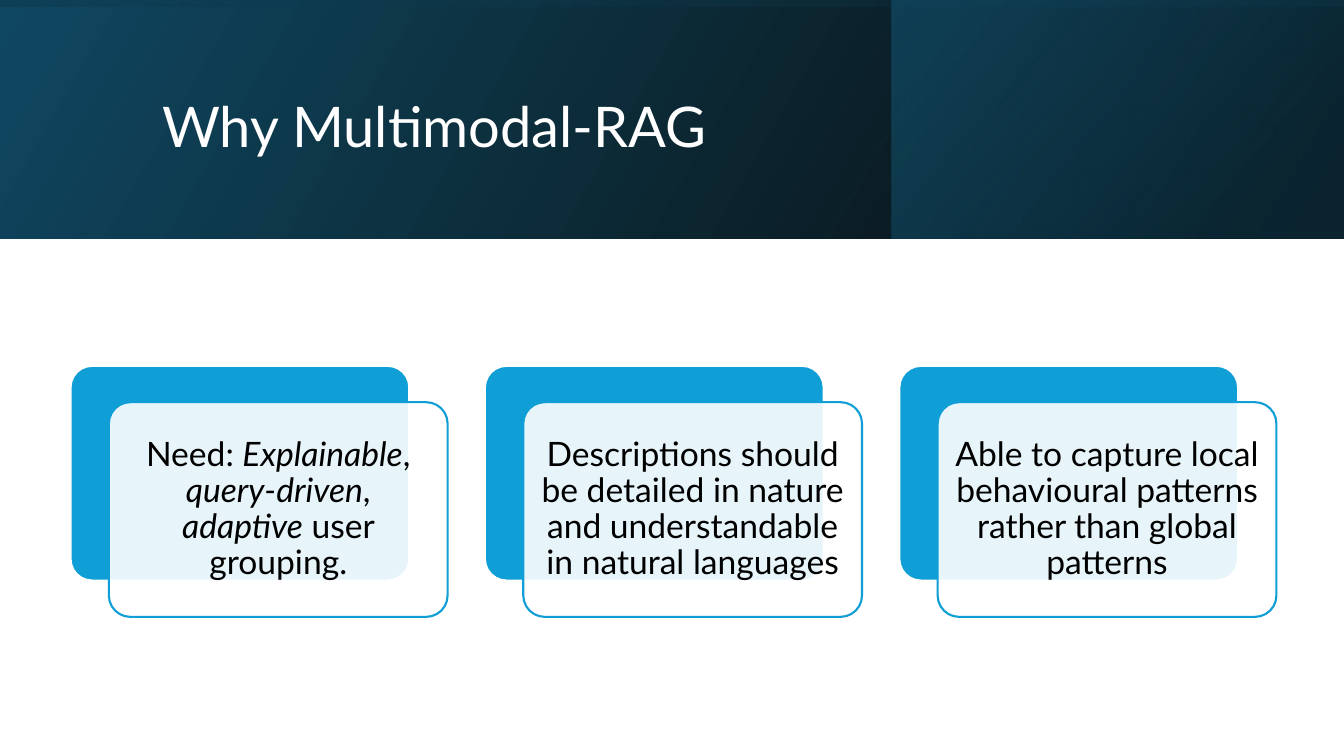
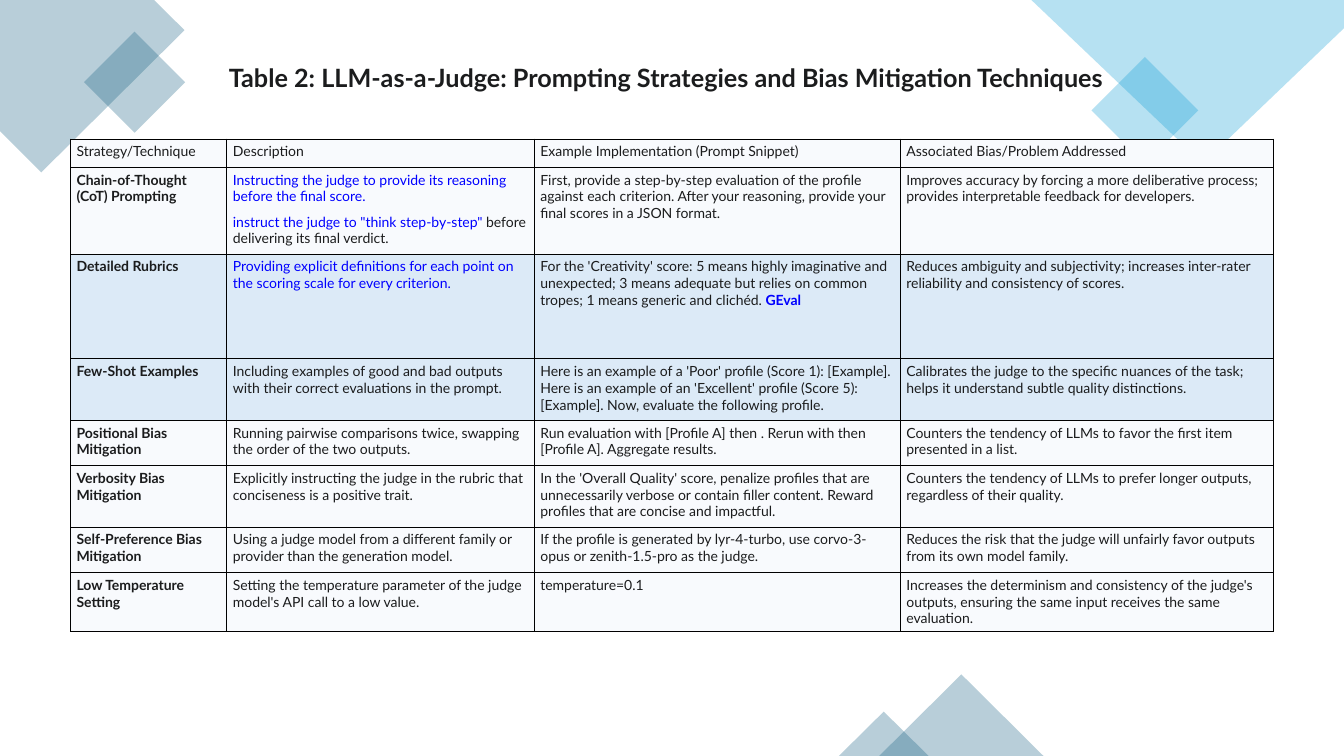
"""Build two slides: three reasons for multimodal RAG, and a table of judging strategies."""
from pptx import Presentation
from pptx import util as u
from pptx.dml.color import RGBColor
from pptx.enum import shapes as kinds, text as txt
from pptx.oxml import parse_xml
from pptx.oxml.ns import nsdecls, qn
from pptx.oxml.xmlchemy import OxmlElement

FONT = "Lato"
WHITE, BLACK, INK, BLUE = "FFFFFF", "000000", "1B1C1D", "0000FF"
NAVY, TEAL, SKY = "104862", "156082", "0F9ED5"
PALE, TINT = "F8FAFD", "DCEAF7"
KIND = kinds.MSO_SHAPE

BANDS = [
    ((0, 0, 13.33, 2.37), 0, 30, [(0, BLACK, 96), (1, NAVY, 100)]),
    ((8.84, 0, 4.49, 2.37), 0, 40, [(0.19, "0B3041", 68), (1, TEAL, 48)]),
    ((5.48, -5.48, 2.37, 13.33), 270, 10, [(0.23, NAVY, 16), (0.99, BLACK, 45)]),
]
CARDS = [
    [("Need: ", ""), ("Explainable", "i"), (", ", ""), ("query-driven", "i"),
     (", ", ""), ("adaptive", "i"), (" user grouping.", "")],
    "Descriptions should be detailed in nature and understandable in natural languages",
    "Able to capture local behavioural patterns rather than global patterns",
]
CORNERS = [
    ([(1.53, 0), (0, 0), (0, 1.3), (0.41, 1.71), (1.83, 0.3)], TEAL),
    ([(13.33, 0), (10.23, 0), (11.93, 1.62), (13.33, 0.28)], SKY),
]
DECOR = [
    (KIND.RECTANGLE, (0.98, 0.46, 0.71, 0.71), 315, TEAL),
    (KIND.RECTANGLE, (10.98, 0.72, 0.75, 0.75), 315, SKY),
    (KIND.ISOSCELES_TRIANGLE, (8.72, 6.69, 1.63, 0.81), 0, TEAL),
    (KIND.ISOSCELES_TRIANGLE, (8.32, 7.06, 0.89, 0.44), 0, TEAL),
]
COLS = [1.55, 3.05, 3.63, 3.7]
ROWS = [
    (0.28, PALE, ["Strategy/Technique", "Description",
                  "Example Implementation (Prompt Snippet)",
                  "Associated Bias/Problem Addressed"]),
    (0.86, PALE, [
        "Chain-of-Thought (CoT) Prompting",
        [[("Instructing the judge to provide its reasoning before the final score.", "c")],
         [("instruct the judge to \"think step-by-step\" ", "c"),
          ("before delivering its final verdict.", "")]],
        "First, provide a step-by-step evaluation of the profile against each criterion. "
        "After your reasoning, provide your final scores in a JSON format.",
        "Improves accuracy by forcing a more deliberative process; "
        "provides interpretable feedback for developers."]),
    (1.04, TINT, [
        "Detailed Rubrics",
        [[("Providing explicit definitions for each point on the scoring scale "
           "for every criterion.", "c")]],
        [[("For the 'Creativity' score: 5 means highly imaginative and unexpected; 3 means "
           "adequate but relies on common tropes; 1 means generic and clichéd. ", ""),
          ("GEval", "bc")]],
        "Reduces ambiguity and subjectivity; increases inter-rater reliability "
        "and consistency of scores."]),
    (0.61, TINT, [
        "Few-Shot Examples",
        "Including examples of good and bad outputs with their correct evaluations "
        "in the prompt.",
        "Here is an example of a 'Poor' profile (Score 1): [Example]. Here is an example of "
        "an 'Excellent' profile (Score 5): [Example]. Now, evaluate the following profile.",
        "Calibrates the judge to the specific nuances of the task; "
        "helps it understand subtle quality distinctions."]),
    (0.45, PALE, [
        "Positional Bias Mitigation",
        "Running pairwise comparisons twice, swapping the order of the two outputs.",
        "Run evaluation with [Profile A] then . Rerun with then [Profile A]. "
        "Aggregate results.",
        "Counters the tendency of LLMs to favor the first item presented in a list."]),
    (0.61, PALE, [
        "Verbosity Bias Mitigation",
        "Explicitly instructing the judge in the rubric that conciseness is a positive trait.",
        "In the 'Overall Quality' score, penalize profiles that are unnecessarily verbose or "
        "contain filler content. Reward profiles that are concise and impactful.",
        "Counters the tendency of LLMs to prefer longer outputs, regardless of their quality."]),
    (0.45, PALE, [
        "Self-Preference Bias Mitigation",
        "Using a judge model from a different family or provider than the generation model.",
        "If the profile is generated by lyr-4-turbo, use corvo-3-opus or zenith-1.5-pro "
        "as the judge.",
        "Reduces the risk that the judge will unfairly favor outputs from its own "
        "model family."]),
    (0.59, PALE, [
        "Low Temperature Setting",
        "Setting the temperature parameter of the judge model's API call to a low value.",
        "temperature=0.1",
        "Increases the determinism and consistency of the judge's outputs, ensuring the same "
        "input receives the same evaluation."]),
]


def rgb(code):
    return RGBColor.from_string(code)


def box(vals):
    return [u.Inches(v) for v in vals]


def fade(clr, pct):
    alpha = OxmlElement("a:alpha")
    alpha.set("val", str(pct * 1000))
    clr.append(alpha)


def paint(shape, code, pct=100, edge=None):
    shape.shadow.inherit = False
    shape.fill.solid()
    shape.fill.fore_color.rgb = rgb(code)
    if pct < 100:
        fade(next(shape.element.spPr.iter(qn("a:srgbClr"))), pct)
    if edge:
        shape.line.color.rgb = rgb(edge)
        shape.line.width = u.Pt(1.5)
    else:
        shape.line.fill.background()


def write(para, runs, size, code, bold=False):
    font = para.font
    font.name, font.size, font.bold = FONT, u.Pt(size), bold
    font.color.rgb = rgb(code)
    if isinstance(runs, str):
        runs = [(runs, "")]
    for words, marks in runs:
        run = para.add_run()
        run.text = words
        if "i" in marks:
            run.font.italic = True
        if "b" in marks:
            run.font.bold = True
        if "c" in marks:
            run.font.color.rgb = rgb(BLUE)


def head(slide, words, place, size, code, anchor, bold=False):
    title = slide.shapes.title
    title.left, title.top, title.width, title.height = box(place)
    frame = title.text_frame
    frame.word_wrap, frame.auto_size = True, txt.MSO_AUTO_SIZE.NONE
    frame.vertical_anchor = anchor
    para = frame.paragraphs[0]
    para.alignment = txt.PP_ALIGN.LEFT
    write(para, words, size, code, bold)
    slide.shapes.element.append(title.element)


def band(slide, place, turn, angle, stops):
    shape = slide.shapes.add_shape(KIND.RECTANGLE, *box(place))
    paint(shape, WHITE)
    shape.rotation = turn
    shape.element.spPr.find(qn("a:xfrm")).set("flipH", "1")
    shape.fill.gradient()
    shape.fill.gradient_angle = angle
    for stop, (pos, code, _) in zip(shape.fill.gradient_stops, stops):
        stop.position = pos
        stop.color.rgb = rgb(code)
    for clr, (_, _, pct) in zip(shape.element.spPr.iter(qn("a:srgbClr")), stops):
        fade(clr, pct)


def card(slide, num, runs):
    left, top, wide, high = 0.7 + 4.11 * num, 3.63, 3.36, 2.13
    looks = [(0, 0, SKY, 100, WHITE), (0.38, 0.36, WHITE, 90, SKY)]
    for right, down, code, pct, edge in looks:
        shape = slide.shapes.add_shape(
            KIND.ROUNDED_RECTANGLE, *box((left + right, top + down, wide, high)))
        shape.adjustments[0] = 0.1
        paint(shape, code, pct, edge)
    frame = shape.text_frame
    frame.word_wrap = True
    frame.vertical_anchor = txt.MSO_ANCHOR.MIDDLE
    frame.margin_left = frame.margin_right = u.Inches(0.09)
    para = frame.paragraphs[0]
    para.alignment, para.line_spacing = txt.PP_ALIGN.CENTER, 0.9
    write(para, runs, 24, BLACK)


def fill_cell(cell, body, back, bold):
    cell.margin_left = cell.margin_right = u.Inches(0.06)
    cell.margin_top = cell.margin_bottom = u.Inches(0.04)
    props = cell._tc.get_or_add_tcPr()
    for side in "LRTB":
        props.append(parse_xml(
            f'<a:ln{side} {nsdecls("a")} w="9525"><a:solidFill>'
            f'<a:srgbClr val="{BLACK}"/></a:solidFill></a:ln{side}>'))
    cell.fill.solid()
    cell.fill.fore_color.rgb = rgb(back)
    frame = cell.text_frame
    for num, runs in enumerate([body] if isinstance(body, str) else body):
        para = frame.add_paragraph() if num else frame.paragraphs[0]
        if num:
            para.space_before = u.Pt(6)
        write(para, runs, 10, INK, bold)


def grid(slide):
    place = (0.7, 1.38, sum(COLS), sum(row[0] for row in ROWS))
    table = slide.shapes.add_table(len(ROWS), len(COLS), *box(place)).table
    table.first_row = table.horz_banding = False
    for col, wide in zip(table.columns, COLS):
        col.width = u.Inches(wide)
    for r, (high, back, cells) in enumerate(ROWS):
        table.rows[r].height = u.Inches(high)
        for c, body in enumerate(cells):
            fill_cell(table.cell(r, c), body, back, r > 0 and c == 0)


def reasons(slide):
    for item in BANDS:
        band(slide, *item)
    head(slide, "Why Multimodal-RAG", (1.51, 0.38, 10.63, 1.72), 40, WHITE,
         txt.MSO_ANCHOR.MIDDLE)
    for num, runs in enumerate(CARDS):
        card(slide, num, runs)


def judging(slide):
    for points, code in CORNERS:
        spots = [box(point) for point in points]
        pen = slide.shapes.build_freeform(*spots[0])
        pen.add_line_segments(spots[1:], close=True)
        paint(pen.convert_to_shape(), code, 30)
    for kind, place, turn, code in DECOR:
        shape = slide.shapes.add_shape(kind, *box(place))
        shape.rotation = turn
        paint(shape, code, 30)
    grid(slide)
    head(slide, "Table 2: LLM-as-a-Judge: Prompting Strategies and Bias Mitigation Techniques",
         (2.17, 0.57, 9, 0.45), 18, INK, txt.MSO_ANCHOR.TOP, True)


def main():
    deck = Presentation()
    deck.slide_width, deck.slide_height = box((13.33, 7.5))
    for build in (reasons, judging):
        build(deck.slides.add_slide(deck.slide_layouts[5]))
    deck.save("out.pptx")


if __name__ == "__main__":
    main()
